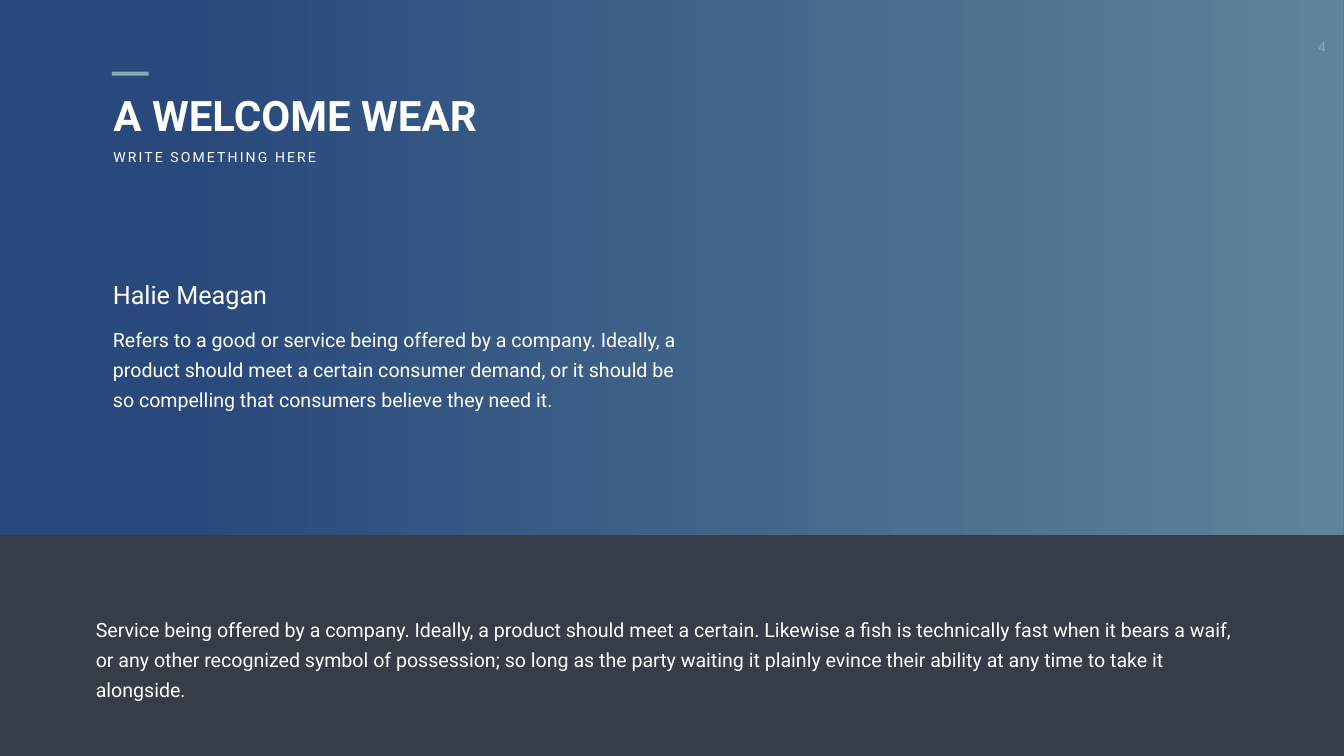
import pptx
import pptx.dml.color
import pptx.enum.shapes
import pptx.enum.text
import pptx.util
from lxml import etree
from pptx.util import Inches

FONT = "Roboto"
WHITE = "FFFFFF"
BACKGROUND = "363D48"
ACCENT = "84ACB6"
BAND = (0, 0, 26.66, 10.61)
BAND_STOPS = [(0.15, "264D89"), (1, "6997AF")]
BAND_OPACITY = 80
ACCENT_BAR = (2.22, 1.42, 0.73, 0.08)

PAGE_NUMBER = dict(text="4", place=(25.77, 0.67, 0.91, 0.54), size=20,
                   inset=(0.2, 0.1), wrap=False, centred=True)
TEXTS = [
    dict(text="Service being offered by a company. Ideally, a product should meet a certain. "
              "Likewise a fish is technically fast when it bears a waif, or any other recognized "
              "symbol of possession; so long as the party waiting it plainly evince their ability "
              "at any time to take it alongside.",
         place=(1.66, 12.01, 23.35, 1.39), size=28, inset=(0.24, 0.12), leading=43),
    dict(text="Refers to a good or service being offered by a company. Ideally, a product should "
              "meet a certain consumer demand, or it should be so compelling that consumers "
              "believe they need it.",
         place=(2, 6.26, 11.67, 2), size=28, inset=(0.24, 0.12), leading=43),
    dict(text="Halie Meagan", place=(2.14, 5.5, 5.67, 0.71), size=36),
    dict(text="A WELCOME WEAR", place=(2.15, 1.73, 7.53, 1.11), size=60, bold=True),
    dict(text="WRITE SOMETHING HERE", place=(2.15, 2.89, 4.35, 0.44), size=20,
         wrap=False, spacing=3),
]


def color(value):
    return pptx.dml.color.RGBColor.from_string(value)


def add_text(page, text, place, size, inset=(0.1, 0.05), leading=None,
             bold=False, wrap=True, centred=False, spacing=0):
    box = page.shapes.add_textbox(*map(Inches, place))
    frame = box.text_frame
    frame.word_wrap = wrap
    frame.margin_left = frame.margin_right = Inches(inset[0])
    frame.margin_top = frame.margin_bottom = Inches(inset[1])
    para = frame.paragraphs[0]
    span = para.add_run()
    span.text = text
    para.font.name = FONT
    para.font.size = pptx.util.Pt(size)
    para.font.bold = bold
    para.font.color.rgb = color(WHITE)
    if leading:
        para.line_spacing = pptx.util.Pt(leading)
    if centred:
        para.alignment = pptx.enum.text.PP_ALIGN.CENTER
    if spacing:
        span.font._element.set("spc", str(spacing * 100))


def add_rectangle(page, place):
    shape = page.shapes.add_shape(pptx.enum.shapes.MSO_SHAPE.RECTANGLE, *map(Inches, place))
    shape.shadow.inherit = False
    shape.line.fill.background()
    return shape


def add_band(page):
    band = add_rectangle(page, BAND)
    band.fill.gradient()
    band.fill.gradient_angle = 0
    for stop, (position, value) in zip(band.fill.gradient_stops, BAND_STOPS):
        stop.position = position
        stop.color.rgb = color(value)
    for tone in band._element.spPr.findall(".//" + pptx.oxml.ns.qn("a:srgbClr")):
        alpha = etree.SubElement(tone, pptx.oxml.ns.qn("a:alpha"))
        alpha.set("val", str(BAND_OPACITY * 1000))


def main():
    deck = pptx.Presentation()
    deck.slide_width, deck.slide_height = Inches(26.66), Inches(15)
    page = deck.slides.add_slide(deck.slide_layouts[6])
    page.background.fill.solid()
    page.background.fill.fore_color.rgb = color(BACKGROUND)

    add_text(page, **PAGE_NUMBER)
    add_band(page)
    for item in TEXTS:
        add_text(page, **item)
    bar = add_rectangle(page, ACCENT_BAR)
    bar.fill.solid()
    bar.fill.fore_color.rgb = color(ACCENT)

    deck.save("out.pptx")


if __name__ == "__main__":
    main()
